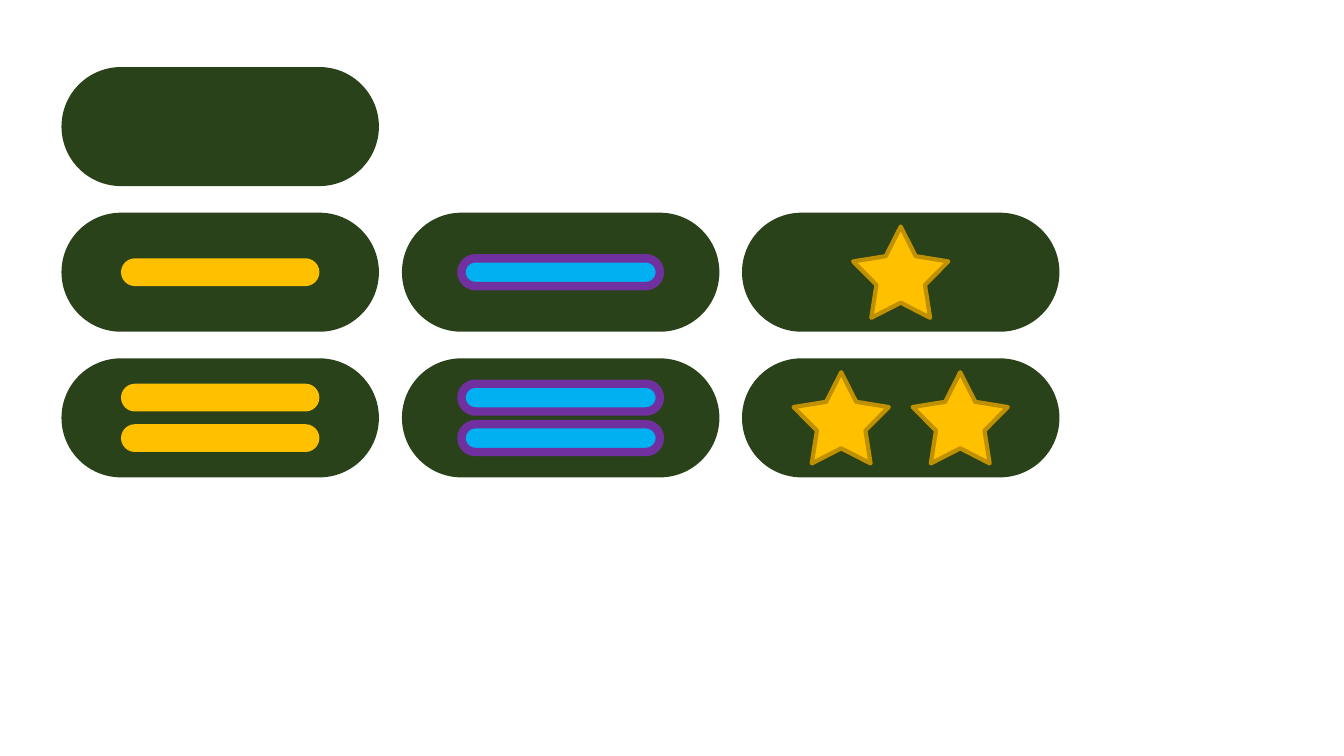
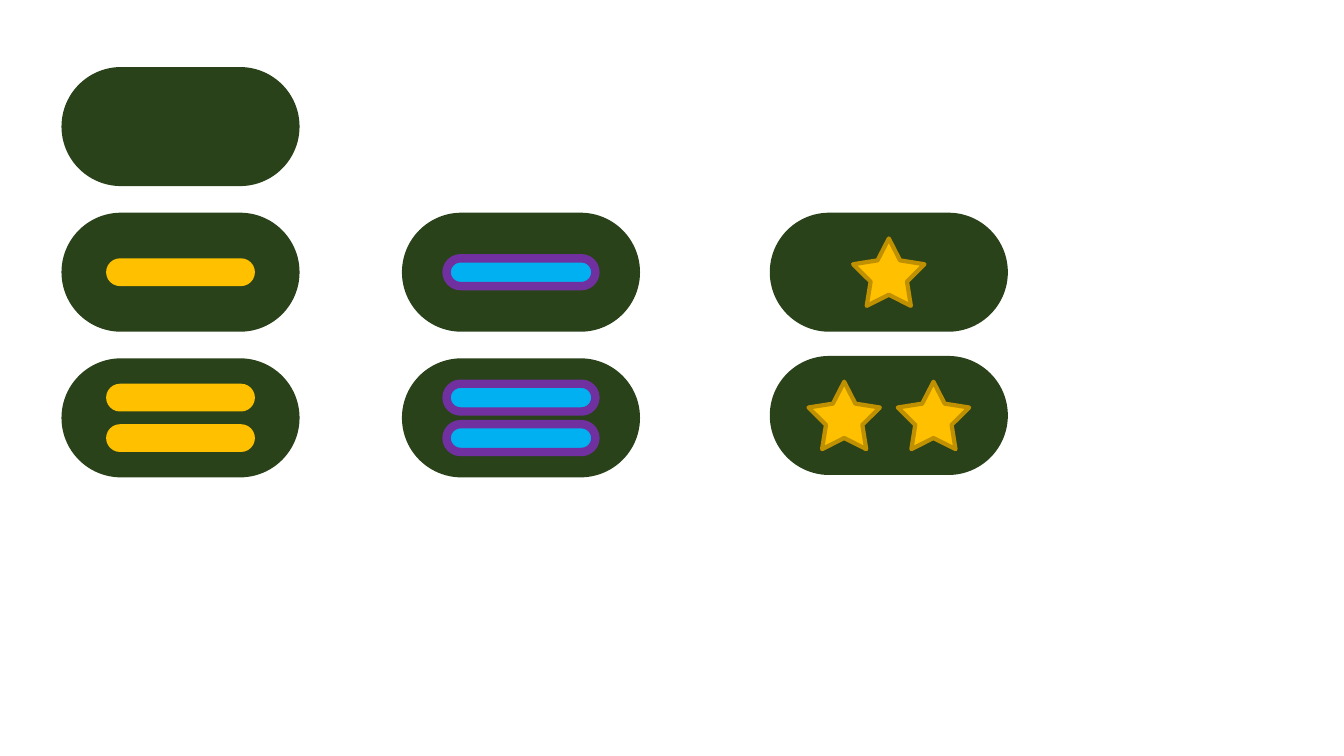
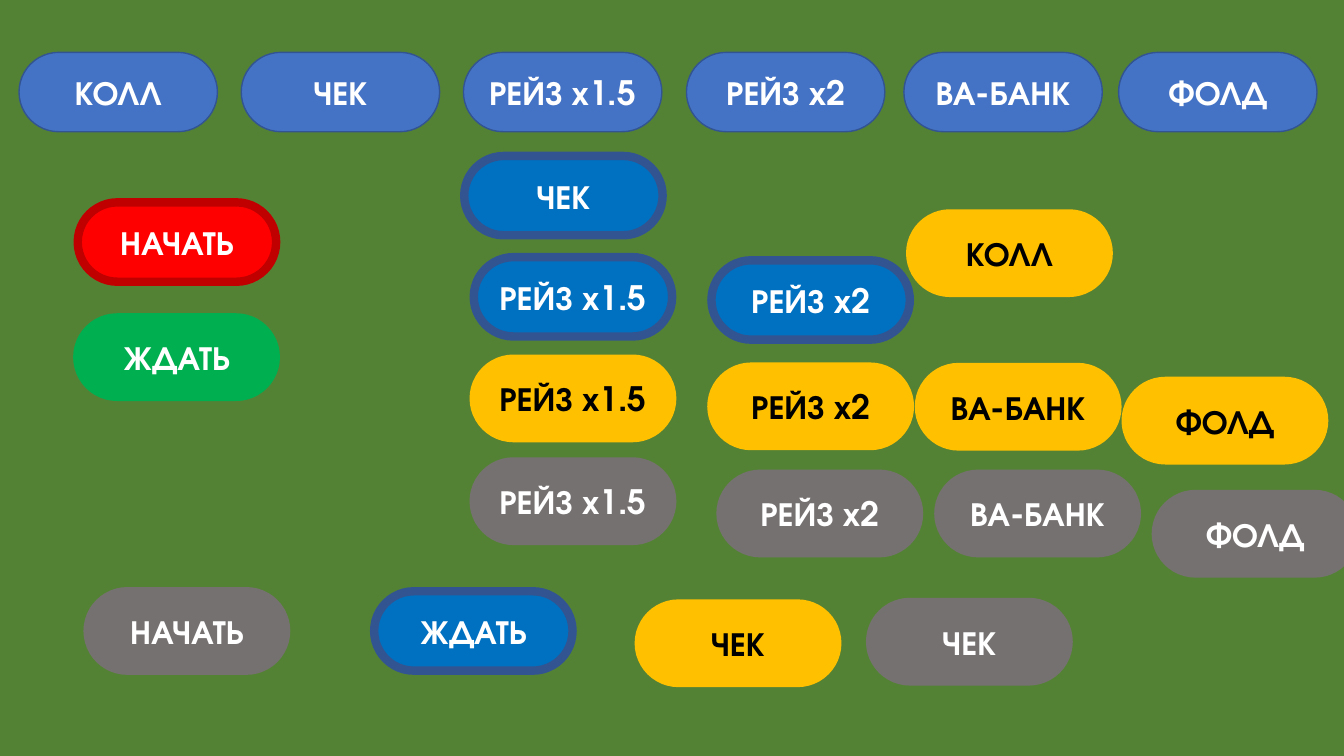
from pptx import Presentation
from pptx.dml.color import RGBColor
from pptx.enum.shapes import MSO_SHAPE
from pptx.enum.text import MSO_ANCHOR, PP_ALIGN
from pptx.util import Cm, Pt

COLORS = {
    "white": "FFFFFF", "black": "000000", "table": "548235", "pill": "2A421A",
    "gold": "FFC000", "dark gold": "BF9000", "sky": "00B0F0", "purple": "7030A0",
    "indigo": "4472C4", "navy": "325491", "blue": "0070C0", "gray": "767171",
    "red": "FF0000", "dark red": "C00000", "green": "00B050",
}
# Button style: fill, line, line width, text colour
BUTTON_STYLES = {
    "plain": ("indigo", "navy", 1, "white"),
    "gold": ("gold", "gold", 6, "black"),
    "blue": ("blue", "navy", 6, "white"),
    "gray": ("gray", "gray", 6, "white"),
    "red": ("red", "dark red", 6, "white"),
    "green": ("green", "green", 6, "white"),
}
BUTTON_FONT = {"name": "TeX Gyre Adventor", "size": Pt(24), "bold": True}

PILL_HEIGHT = 3
PILL_LEFT, PILL_TOP, ROW_STEP = 1.55, 1.69, 3.67
BAR_HEIGHT, BAR_STEP = 0.7, 1.02


def color(name):
    return RGBColor.from_string(COLORS[name])


class Deck:
    def __init__(self):
        self.presentation = Presentation()
        self.presentation.slide_width = Cm(33.87)
        self.presentation.slide_height = Cm(19.05)
        self.slide = None

    def add_slide(self, background="white"):
        self.slide = self.presentation.slides.add_slide(self.presentation.slide_layouts[6])
        fill = self.slide.background.fill
        fill.solid()
        fill.fore_color.rgb = color(background)

    def shape(self, shapes, kind, left, top, width, height, fill, line=None, weight=0):
        shape = shapes.add_shape(kind, Cm(left), Cm(top), Cm(width), Cm(height))
        shape.shadow.inherit = False
        shape.adjustments[0] = 0.255 if kind == MSO_SHAPE.STAR_5_POINT else 0.5
        shape.fill.solid()
        shape.fill.fore_color.rgb = color(fill)
        if line:
            shape.line.color.rgb = color(line)
            shape.line.width = Pt(weight)
        else:
            shape.line.fill.background()
        return shape

    def pill(self, shapes, left, top, width):
        self.shape(shapes, MSO_SHAPE.ROUNDED_RECTANGLE, left, top, width, PILL_HEIGHT, "pill")

    def bar_pill(self, left, top, width, count, *look):
        """Pill with bars stacked around its middle."""
        shapes = self.slide.shapes.add_group_shape().shapes
        self.pill(shapes, left, top, width)
        bar_width = width * 0.625
        for index in range(count):
            middle = top + PILL_HEIGHT / 2 + (index - (count - 1) / 2) * BAR_STEP
            self.shape(shapes, MSO_SHAPE.ROUNDED_RECTANGLE, left + (width - bar_width) / 2,
                       middle - BAR_HEIGHT / 2, bar_width, BAR_HEIGHT, *look)

    def star_pill(self, left, top, width, count, star_size):
        """Pill with stars side by side around its middle."""
        shapes = self.slide.shapes.add_group_shape().shapes
        self.pill(shapes, left, top, width)
        star_width, star_height = star_size
        for index in range(count):
            center = left + width / 2 + (index - (count - 1) / 2) * width * 0.375
            self.shape(shapes, MSO_SHAPE.STAR_5_POINT, center - star_width / 2,
                       top + (PILL_HEIGHT - star_height) / 2, star_width, star_height,
                       "gold", "dark gold", 3)

    def button(self, style, text, left, top):
        *look, text_color = BUTTON_STYLES[style]
        shape = self.shape(self.slide.shapes, MSO_SHAPE.ROUNDED_RECTANGLE,
                           left, top, 5, 2, *look)
        frame = shape.text_frame
        frame.vertical_anchor = MSO_ANCHOR.MIDDLE
        paragraph = frame.paragraphs[0]
        paragraph.alignment = PP_ALIGN.CENTER
        run = paragraph.add_run()
        run.text = text
        for attribute, value in BUTTON_FONT.items():
            setattr(run.font, attribute, value)
        run.font.color.rgb = color(text_color)

    def pill_slide(self, width, star_left, star_tops, star_size):
        self.add_slide()
        self.pill(self.slide.shapes, PILL_LEFT, PILL_TOP, width)
        for left, look in ((PILL_LEFT, ("gold",)), (10.13, ("sky", "purple", 6))):
            for count in (1, 2):
                self.bar_pill(left, PILL_TOP + count * ROW_STEP, width, count, *look)
        for count, top in enumerate(star_tops, 1):
            self.star_pill(star_left, top, width, count, star_size)


def main():
    deck = Deck()

    # Wide and narrow pills
    deck.pill_slide(8, 18.7, (5.36, 9.03), (2.4, 2.3))
    deck.pill_slide(6, 19.4, (5.36, 8.97), (1.8, 1.7))

    # Game buttons
    deck.add_slide("table")
    buttons = {
        "plain": [("КОЛЛ", 0.48, 1.32), ("ЧЕК", 6.08, 1.32), ("РЕЙЗ х1.5", 11.68, 1.32),
                  ("РЕЙЗ х2", 17.3, 1.32), ("ВА-БАНК", 22.78, 1.32), ("ФОЛД", 28.19, 1.32)],
        "gold": [("КОЛЛ", 22.94, 5.38), ("РЕЙЗ х1.5", 11.94, 9.04), ("РЕЙЗ х2", 17.93, 9.24),
                 ("ФОЛД", 28.37, 9.6), ("ВА-БАНК", 23.16, 9.25), ("ЧЕК", 16.1, 15.21)],
        "blue": [("ЧЕК", 11.7, 3.93), ("РЕЙЗ х1.5", 11.94, 6.48),
                 ("РЕЙЗ х2", 17.93, 6.56), ("ЖДАТЬ", 9.43, 14.9)],
        "gray": [("НАЧАТЬ", 2.21, 14.9), ("РЕЙЗ х1.5", 11.94, 11.63), ("РЕЙЗ х2", 18.16, 11.94),
                 ("ВА-БАНК", 23.65, 11.94), ("ФОЛД", 29.13, 12.45), ("ЧЕК", 21.93, 15.17)],
        "red": [("НАЧАТЬ", 1.96, 5.1)],
        "green": [("ЖДАТЬ", 1.95, 8)],
    }
    for style, entries in buttons.items():
        for text, left, top in entries:
            deck.button(style, text, left, top)

    deck.presentation.save("out.pptx")


if __name__ == "__main__":
    main()
